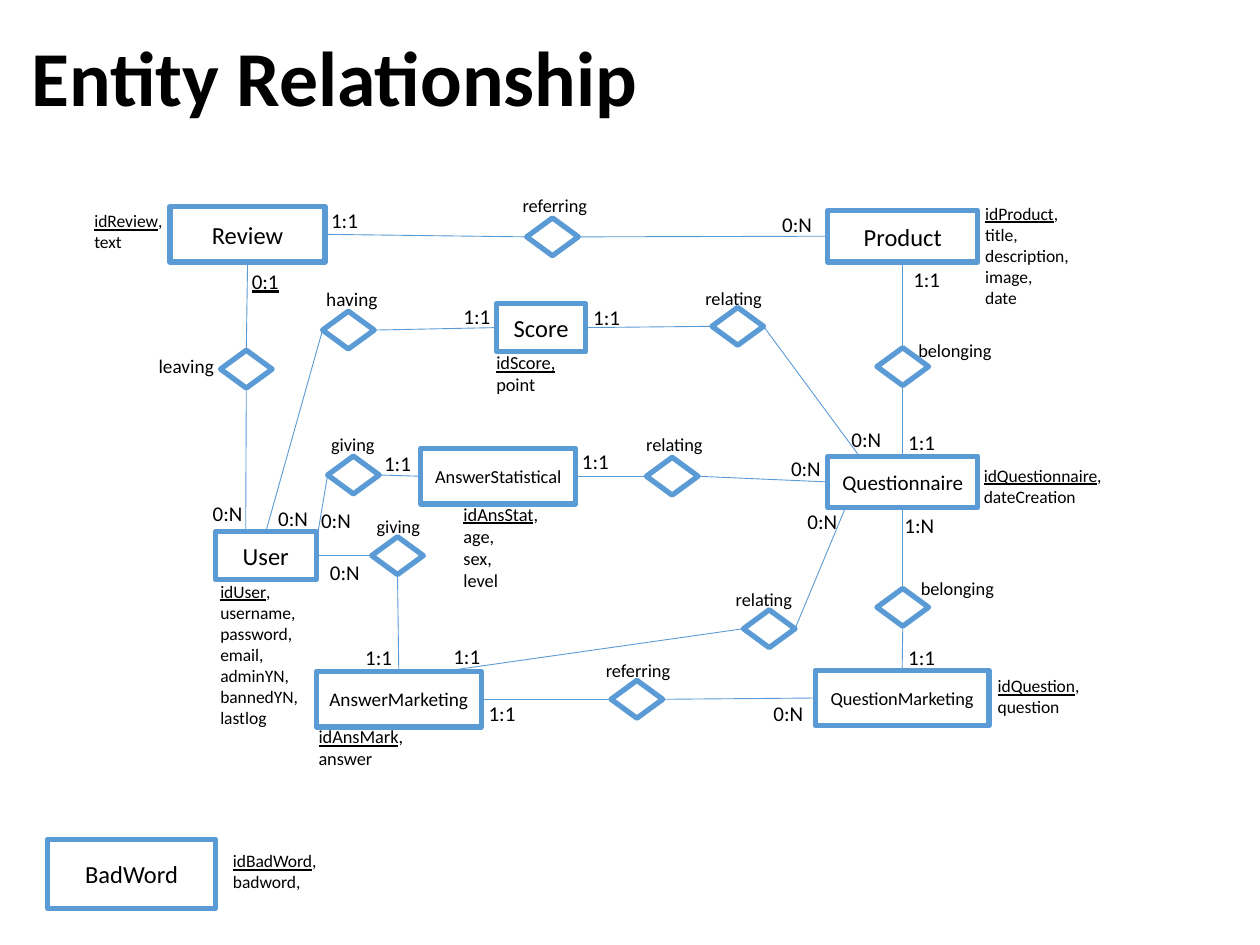
from lxml import etree
from pptx import Presentation
from pptx.dml.color import RGBColor
from pptx.enum.shapes import MSO_CONNECTOR, MSO_SHAPE
from pptx.enum.text import MSO_ANCHOR, MSO_AUTO_SIZE, PP_ALIGN
from pptx.oxml.ns import qn
from pptx.util import Cm, Pt

BLUE = RGBColor(0x5B, 0x9B, 0xD5)
WHITE = RGBColor(0xFF, 0xFF, 0xFF)
BLACK = RGBColor(0, 0, 0)
RECTANGLE, DIAMOND = MSO_SHAPE.RECTANGLE, MSO_SHAPE.DIAMOND
STRAIGHT = MSO_CONNECTOR.STRAIGHT
MIDDLE, CENTER = MSO_ANCHOR.MIDDLE, PP_ALIGN.CENTER
FIT_SHAPE = MSO_AUTO_SIZE.SHAPE_TO_FIT_TEXT
TOP, LEFT, BOTTOM, RIGHT = range(4)
CM_PER_INCH = 2.54
FONT = "Calibri"
DIAMOND_SIZE = (0.41, 0.3)

# All positions below are in inches
# Entity: left, top, width, height, text size
ENTITIES = {
    "User": (1.71, 4.22, 0.8, 0.38, 14),
    "AnswerMarketing": (2.51, 5.33, 1.31, 0.44, 11),
    "AnswerStatistical": (3.34, 3.56, 1.23, 0.44, 10.5),
    "Questionnaire": (6.57, 3.62, 1.19, 0.41, 12),
    "QuestionMarketing": (6.47, 5.32, 1.38, 0.44, 10.5),
    "Product": (6.57, 1.67, 1.19, 0.41, 14),
    "Score": (3.94, 2.41, 0.71, 0.38, 14),
    "Review": (1.35, 1.64, 1.23, 0.44, 14),
    "BadWord": (0.38, 6.66, 1.33, 0.55, 14),
}

# Left, top, width, text size, wrap, underlined key, text after it, other lines
ATTRIBUTES = [
    (7.71, 3.64, 1.15, 10, False, "idQuestionnaire", ",", ["dateCreation"]),
    (2.43, 5.71, 2.7, 10.5, True, "idAnsMark", ",", ["answer"]),
    (3.58, 3.94, 0.81, 10.5, False, "idAnsStat", ",", ["age,", "sex,", "level"]),
    (1.65, 4.56, 0.83, 10, False, "idUser", ",",
     ["username,", "password,", "email,", "adminYN,", "bannedYN,", "lastlog"]),
    (7.82, 5.31, 0.86, 10, False, "idQuestion", ",", ["question"]),
    (7.72, 1.56, 0.88, 10, False, "idProduct", ",",
     ["title,", "description,", "image,", "date"]),
    (3.84, 2.74, 0.82, 10.5, True, "idScore,", "", ["point"]),
    (0.65, 1.62, 0.75, 10, False, "idReview", ",", ["text"]),
    (1.75, 6.7, 0.88, 10, False, "idBadWord", ",", ["badword,"]),
]

# Relationship: diamond left and top, label, label left, top, width, text size
RELATIONSHIPS = {
    "user statistical": (2.6, 3.62, "giving", 2.53, 3.39, 0.57, 10.5),
    "user score": (2.56, 2.47, "having", 2.49, 2.23, 0.61, 11),
    "user review": (1.75, 2.78, "leaving", 1.16, 2.76, 0.65, 11),
    "user marketing": (2.95, 4.26, "giving", 2.89, 4.04, 0.57, 10.5),
    "answer question": (4.85, 5.4, "referring", 4.71, 5.18, 0.75, 10.5),
    "marketing questionnaire": (5.9, 4.84, "relating", 5.74, 4.62, 0.68, 10.5),
    "product questionnaire": (6.96, 2.76, "belonging", 7.19, 2.64, 0.82, 10.5),
    "review product": (4.18, 1.73, "referring", 4.05, 1.49, 0.73, 10.5),
    "statistical questionnaire": (5.13, 3.63, "relating", 5.03, 3.39, 0.68, 10.5),
    "question questionnaire": (6.96, 4.67, "belonging", 7.21, 4.53, 0.82, 10.5),
    "score questionnaire": (5.65, 2.44, "relating", 5.5, 2.23, 0.68, 10.5),
}

# Each end is a (shape, side) pair or a free (x, y) point
LINKS = [
    (("User", RIGHT), ("user marketing", LEFT)),
    (("AnswerMarketing", TOP), ("user marketing", BOTTOM)),
    (("AnswerMarketing", RIGHT), ("answer question", LEFT)),
    (("answer question", RIGHT), ("QuestionMarketing", LEFT)),
    (("AnswerStatistical", LEFT), ("user statistical", RIGHT)),
    (("user statistical", LEFT), (2.52, 4.25)),
    ((3.51, 5.33), ("marketing questionnaire", LEFT)),
    (("marketing questionnaire", RIGHT), (6.71, 4.03)),
    (("question questionnaire", TOP), ("Questionnaire", BOTTOM)),
    (("QuestionMarketing", TOP), ("question questionnaire", BOTTOM)),
    (("AnswerStatistical", RIGHT), ("statistical questionnaire", LEFT)),
    (("statistical questionnaire", RIGHT), ("Questionnaire", LEFT)),
    (("user score", LEFT), ("User", TOP)),
    (("Score", LEFT), ("user score", RIGHT)),
    ((1.95, 4.22), ("user review", BOTTOM)),
    (("user review", TOP), ("Review", BOTTOM)),
    (("review product", LEFT), ("Review", RIGHT)),
    (("Product", LEFT), ("review product", RIGHT)),
    (("product questionnaire", TOP), ("Product", BOTTOM)),
    (("Questionnaire", TOP), ("product questionnaire", BOTTOM)),
    ((6.82, 3.62), ("score questionnaire", RIGHT)),
    (("Score", RIGHT), ("score questionnaire", LEFT)),
]

# Left and top of every cardinality, grouped by its text
CARDINALITIES = {
    "0:N": [(2.52, 4.39), (6.04, 5.51), (6.31, 3.99), (6.18, 3.57), (6.11, 1.63),
            (1.59, 3.92), (2.11, 3.96), (2.45, 3.98), (6.66, 3.34)],
    "1:1": [(2.8, 5.07), (3.78, 5.51), (3.5, 5.06), (7.11, 5.07), (4.52, 3.51),
            (7.11, 3.36), (7.15, 2.07), (2.53, 1.6), (3.58, 2.36), (2.95, 3.53),
            (4.61, 2.37)],
    "1:N": [(7.08, 4.02)],
    "0:1": [(1.9, 2.08)],
}


def lengths(*inches):
    return [Cm(value * CM_PER_INCH) for value in inches]


def add_span(para, text, size, **formats):
    span = para.add_run()
    span.text = text
    for name, value in {"name": FONT, "size": Pt(size), **formats}.items():
        setattr(span.font, name, value)
    span.font.color.rgb = BLACK


def add_text(page, place, lines, size, wrap=True, **formats):
    """Each line is a list of (text, underlined) pairs."""
    frame = page.shapes.add_textbox(*lengths(*place)).text_frame
    frame.word_wrap = wrap
    frame.auto_size = FIT_SHAPE
    for index, spans in enumerate(lines):
        para = frame.add_paragraph() if index else frame.paragraphs[0]
        for text, underlined in spans:
            add_span(para, text, size, underline=underlined, **formats)
    return frame


def add_outline(page, kind, place):
    shape = page.shapes.add_shape(kind, *lengths(*place))
    shape.shadow.inherit = False
    shape.fill.solid()
    shape.fill.fore_color.rgb = WHITE
    shape.line.color.rgb = BLUE
    shape.line.width = Pt(3)
    return shape


def add_link(page, nodes, start, end):
    link = page.shapes.add_connector(STRAIGHT, *[
        length for point in (start, end)
        for length in lengths(*((0, 0) if point[0] in nodes else point))])
    for point, connect in ((start, link.begin_connect), (end, link.end_connect)):
        if point[0] in nodes:
            connect(nodes[point[0]], point[1])
    link.line.color.rgb = BLUE
    link.line.width = Pt(0.5)
    etree.SubElement(link._element.spPr, qn("a:effectLst"))


def main():
    deck = Presentation()
    deck.slide_width, deck.slide_height = lengths(10, 7.5)
    page = deck.slides.add_slide(deck.slide_layouts[6])

    # Title
    title = add_text(page, (0.15, 0.03, 6.32, 1.27),
                     [[("Entity Relationship", False)]], 44.4, bold=True)
    title.auto_size = MSO_AUTO_SIZE.NONE
    title.vertical_anchor = MIDDLE
    title.paragraphs[0].line_spacing = 0.8

    # Entities and relationship diamonds
    nodes = {}
    for name, (*place, size) in ENTITIES.items():
        nodes[name] = add_outline(page, RECTANGLE, place)
        frame = nodes[name].text_frame
        frame.margin_left = frame.margin_right = 0
        frame.vertical_anchor = MIDDLE
        frame.paragraphs[0].alignment = CENTER
        add_span(frame.paragraphs[0], name, size)
    for name, (left, top, *_) in RELATIONSHIPS.items():
        nodes[name] = add_outline(page, DIAMOND, (left, top, *DIAMOND_SIZE))

    # Connecting lines
    for start, end in LINKS:
        add_link(page, nodes, start, end)

    # Relationship labels, cardinalities and attributes
    for _, _, label, *place, size in RELATIONSHIPS.values():
        add_text(page, (*place, 0.29), [[(label, False)]], size, wrap=False)
    for text, corners in CARDINALITIES.items():
        for corner in corners:
            add_text(page, (*corner, 0.47, 0.3), [[(text, text == "0:1")]], 12)
    for *place, size, wrap, key, tail, others in ATTRIBUTES:
        first = [(key, True)] + ([(tail, False)] if tail else [])
        lines = [first] + [[(text, False)] for text in others]
        add_text(page, (*place, 0.1 + 0.17 * len(lines)), lines, size, wrap)

    deck.save("out.pptx")


if __name__ == "__main__":
    main()
